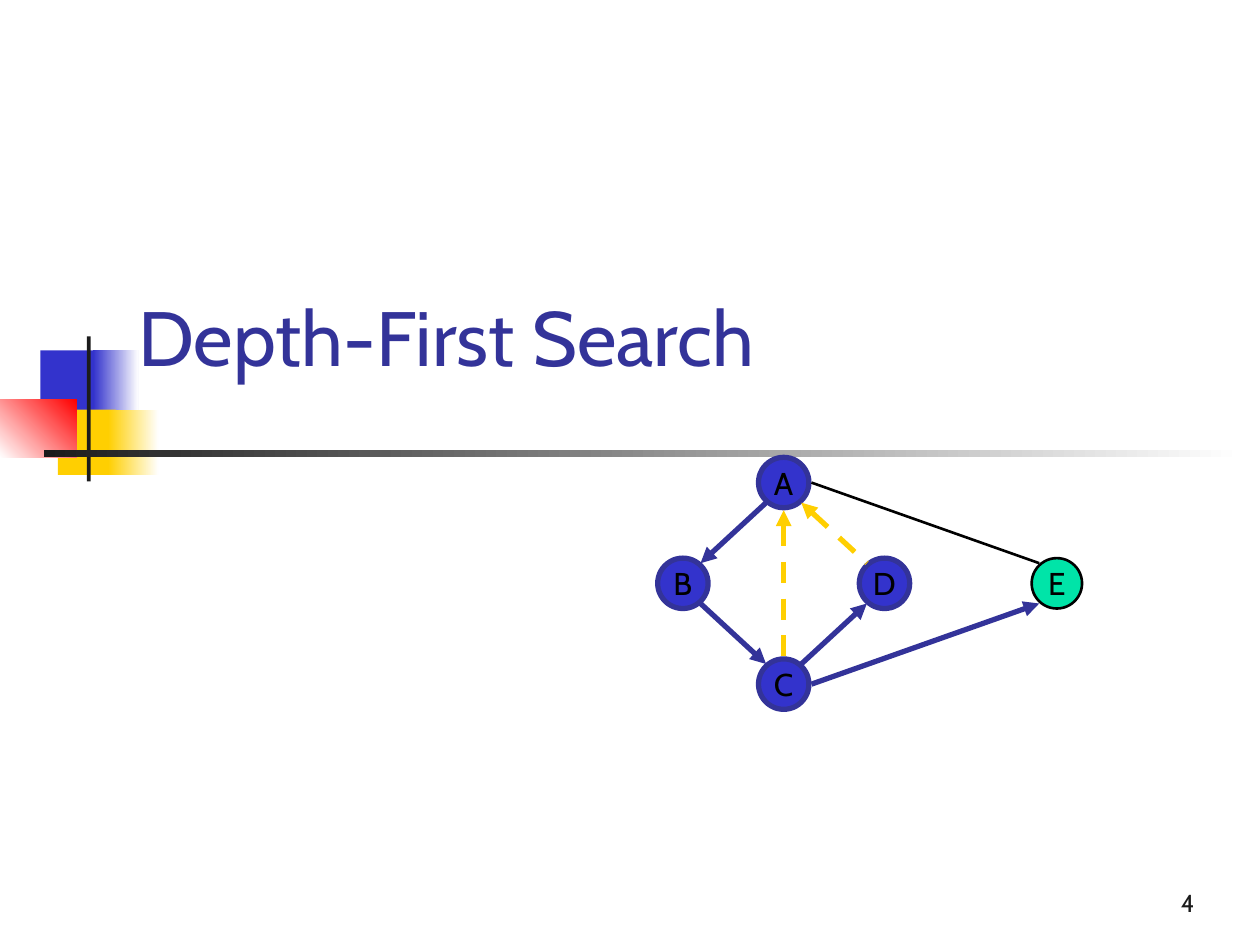
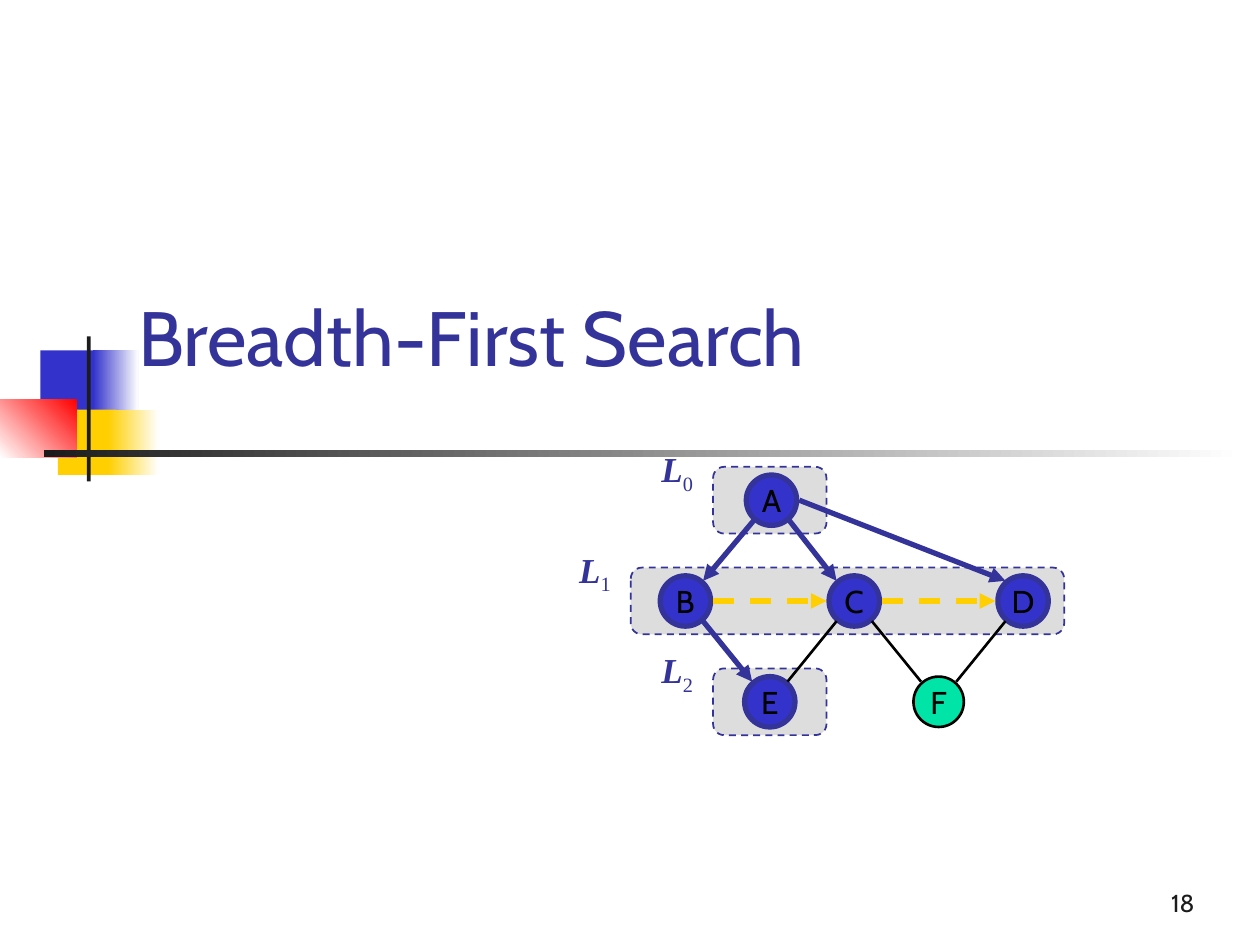
from lxml import etree
from pptx import Presentation
from pptx.dml.color import RGBColor
from pptx.enum.dml import MSO_LINE
from pptx.enum.shapes import MSO_CONNECTOR, MSO_SHAPE
from pptx.enum.text import MSO_ANCHOR, PP_ALIGN
from pptx.oxml.ns import qn
from pptx.util import Inches, Pt

RECT, OVAL, ROUNDED = MSO_SHAPE.RECTANGLE, MSO_SHAPE.OVAL, MSO_SHAPE.ROUNDED_RECTANGLE
STRAIGHT, DASH = MSO_CONNECTOR.STRAIGHT, MSO_LINE.DASH
TOP, MIDDLE, BOTTOM = MSO_ANCHOR.TOP, MSO_ANCHOR.MIDDLE, MSO_ANCHOR.BOTTOM
LEFT, CENTER, RIGHT = PP_ALIGN.LEFT, PP_ALIGN.CENTER, PP_ALIGN.RIGHT

# Shared look
WIDTH, HEIGHT = 10, 7.5
SANS, SERIF = "Cabin", "Times New Roman"
BLUE, NAVY, GOLD, RED = "3333CC", "333399", "FFCF01", "FF0000"
GREEN, GRAY, INK, BLACK, WHITE = "00E4A8", "DDDDDD", "1C1C1C", "000000", "FFFFFF"

# Ornament: left, top, width, height, colours (two make a gradient), angle
ORNAMENT = [
    (0.32, 2.78, 0.48, 0.52, [BLUE], 0),
    (0.74, 2.78, 0.36, 0.52, [BLUE, WHITE], 0),
    (0.46, 3.25, 0.46, 0.52, [GOLD], 0),
    (0.86, 3.25, 0.40, 0.52, [GOLD, WHITE], 0),
    (0, 3.17, 0.61, 0.46, [WHITE, RED], 45),
    (0.69, 2.67, 0.03, 1.15, [INK], 0),
    (0.35, 3.57, 9.51, 0.06, [INK, WHITE], 0),
]

# Node state: fill, line colour, line width
NODE_STYLES = {"visited": (BLUE, NAVY, 3), "unexplored": (GREEN, BLACK, 1.5)}

# Edge kind: colour, width, dashed, end that has the arrowhead
EDGE_STYLES = {
    "discovery": (NAVY, 3, False, "tailEnd"),
    "back": (GOLD, 3, True, "headEnd"),
    "cross": (GOLD, 3, True, "tailEnd"),
    "unexplored": (BLACK, 1.5, False, None),
}

# Where edges meet a node, as offsets from its centre
DIAMETER = 0.4
SIDE, DIAGONAL_X, DIAGONAL_Y = 0.22, 0.14, 0.16
PORTS = {
    "n": (0, -SIDE), "s": (0, SIDE), "w": (-SIDE, 0), "e": (SIDE, 0),
    "nw": (-DIAGONAL_X, -DIAGONAL_Y), "ne": (DIAGONAL_X, -DIAGONAL_Y),
    "sw": (-DIAGONAL_X, DIAGONAL_Y), "se": (DIAGONAL_X, DIAGONAL_Y),
}

# Level bands and their labels
BAND_HEIGHT = 0.53
LABEL_WIDTH, LABEL_HEIGHT, LABEL_SHIFT, LABEL_RISE = 0.51, 0.48, 0.54, 0.47

# Content: nodes are (column, row, state) on the graph's grid,
# edges are (start, port, end, port, kind), levels are (column, row, width)
SLIDES = [
    {
        "title": "Depth-First Search",
        "number": "4",
        "origin": (5.42, 3.83),
        "pitch": (0.8, 0.8),
        "levels": [],
        "nodes": {
            "D": (2, 1, "visited"),
            "B": (0, 1, "visited"),
            "A": (1, 0, "visited"),
            "C": (1, 2, "visited"),
            "E": (3.71, 1, "unexplored"),
        },
        "edges": [
            ("A", "sw", "B", "ne", "discovery"),
            ("B", "se", "C", "nw", "discovery"),
            ("C", "ne", "D", "sw", "discovery"),
            ("A", "se", "D", "nw", "back"),
            ("A", "s", "C", "n", "back"),
            ("C", "e", "E", "sw", "discovery"),
            ("E", "nw", "A", "e", "unexplored"),
        ],
    },
    {
        "title": "Breadth-First Search",
        "number": "18",
        "origin": (5.44, 3.97),
        "pitch": (1.34, 0.8),
        "levels": [(0.5, 0, 0.9), (0.96, 1, 3.44), (0.5, 2, 0.9)],
        "nodes": {
            "C": (1, 1, "visited"),
            "B": (0, 1, "visited"),
            "A": (0.51, 0, "visited"),
            "E": (0.5, 2, "visited"),
            "D": (2, 1, "visited"),
            "F": (1.5, 2, "unexplored"),
        },
        "edges": [
            ("A", "sw", "B", "ne", "discovery"),
            ("B", "se", "E", "nw", "discovery"),
            ("E", "ne", "C", "sw", "unexplored"),
            ("A", "se", "C", "nw", "discovery"),
            ("B", "e", "C", "w", "cross"),
            ("F", "ne", "D", "sw", "unexplored"),
            ("A", "e", "D", "nw", "discovery"),
            ("C", "e", "D", "w", "cross"),
            ("C", "se", "F", "nw", "unexplored"),
        ],
    },
]


def color(value):
    return RGBColor.from_string(value)


def style_line(line, value, width, dashed=False):
    line.color.rgb = color(value)
    line.width = Pt(width)
    if dashed:
        line.dash_style = DASH


def write(box, text, size=18, ink=BLACK, font=SANS, align=LEFT, anchor=TOP,
          wrap=True, bold=False, italic=False, subscript=False):
    """Add a formatted span to the first paragraph of a box."""
    frame = box.text_frame
    frame.word_wrap = wrap
    frame.vertical_anchor = anchor
    para = frame.paragraphs[0]
    para.alignment = align
    span = para.add_run()
    span.text = text
    span.font.name, span.font.size = font, Pt(size)
    span.font.bold, span.font.italic = bold, italic
    span.font.color.rgb = color(ink)
    if subscript:
        span.font._rPr.set("baseline", "-25000")


def add_box(page, left, top, width, height):
    return page.shapes.add_textbox(*map(Inches, (left, top, width, height)))


def add_block(page, kind, left, top, width, height, fills, angle=0, outline=None):
    block = page.shapes.add_shape(kind, *map(Inches, (left, top, width, height)))
    block.shadow.inherit = False
    if len(fills) == 1:
        block.fill.solid()
        block.fill.fore_color.rgb = color(fills[0])
    else:
        block.fill.gradient()
        block.fill.gradient_angle = angle
        for stop, value in zip(block.fill.gradient_stops, fills):
            stop.color.rgb = color(value)
    if outline:
        style_line(block.line, *outline)
    else:
        block.line.fill.background()
    return block


def add_edge(page, start, end, kind):
    value, width, dashed, arrow = EDGE_STYLES[kind]
    edge = page.shapes.add_connector(STRAIGHT, *map(Inches, (*start, *end)))
    style_line(edge.line, value, width, dashed)
    if arrow:
        etree.SubElement(edge.line._get_or_add_ln(), qn("a:" + arrow), type="triangle")
    etree.SubElement(edge._element.spPr, qn("a:effectLst"))


def add_frame(page, title, number):
    """Draw what every slide shares: ornament, title and page number."""
    for left, top, width, height, fills, angle in ORNAMENT:
        add_block(page, RECT, left, top, width, height, fills, angle)
    write(add_box(page, 7.5, 6.83, 2.08, 0.5), number, size=14, ink=INK,
          align=RIGHT, anchor=BOTTOM)
    write(add_box(page, 1, 1.83, 8.5, 1.25), title, size=44, ink=NAVY, anchor=BOTTOM)


def add_graph(page, content):
    def place(column, row):
        return tuple(start + step * count for start, step, count
                     in zip(content["origin"], content["pitch"], (column, row)))

    # Level bands with labels
    for column, row, width in content["levels"]:
        x, y = place(column, row)
        left = x - width / 2
        add_block(page, ROUNDED, left, y - BAND_HEIGHT / 2, width, BAND_HEIGHT,
                  [GRAY], outline=(NAVY, 1, True))
        label = add_box(page, left - LABEL_SHIFT, y - LABEL_RISE, LABEL_WIDTH, LABEL_HEIGHT)
        look = {"size": 20, "ink": NAVY, "font": SERIF, "align": CENTER, "wrap": False}
        write(label, "L", bold=True, italic=True, **look)
        write(label, str(row), subscript=True, **look)

    # Nodes
    centers = {}
    for name, (column, row, state) in content["nodes"].items():
        x, y = centers[name] = place(column, row)
        fill, *outline = NODE_STYLES[state]
        node = add_block(page, OVAL, x - DIAMETER / 2, y - DIAMETER / 2,
                         DIAMETER, DIAMETER, [fill], outline=outline)
        write(node, name, align=CENTER, anchor=MIDDLE, wrap=False)

    # Edges
    def port_at(name, port):
        return [center + shift for center, shift in zip(centers[name], PORTS[port])]

    for start, start_port, end, end_port, kind in content["edges"]:
        add_edge(page, port_at(start, start_port), port_at(end, end_port), kind)


def main():
    deck = Presentation()
    deck.slide_width, deck.slide_height = Inches(WIDTH), Inches(HEIGHT)
    for content in SLIDES:
        page = deck.slides.add_slide(deck.slide_layouts[6])
        add_frame(page, content["title"], content["number"])
        add_graph(page, content)
    deck.save("out.pptx")


if __name__ == "__main__":
    main()
